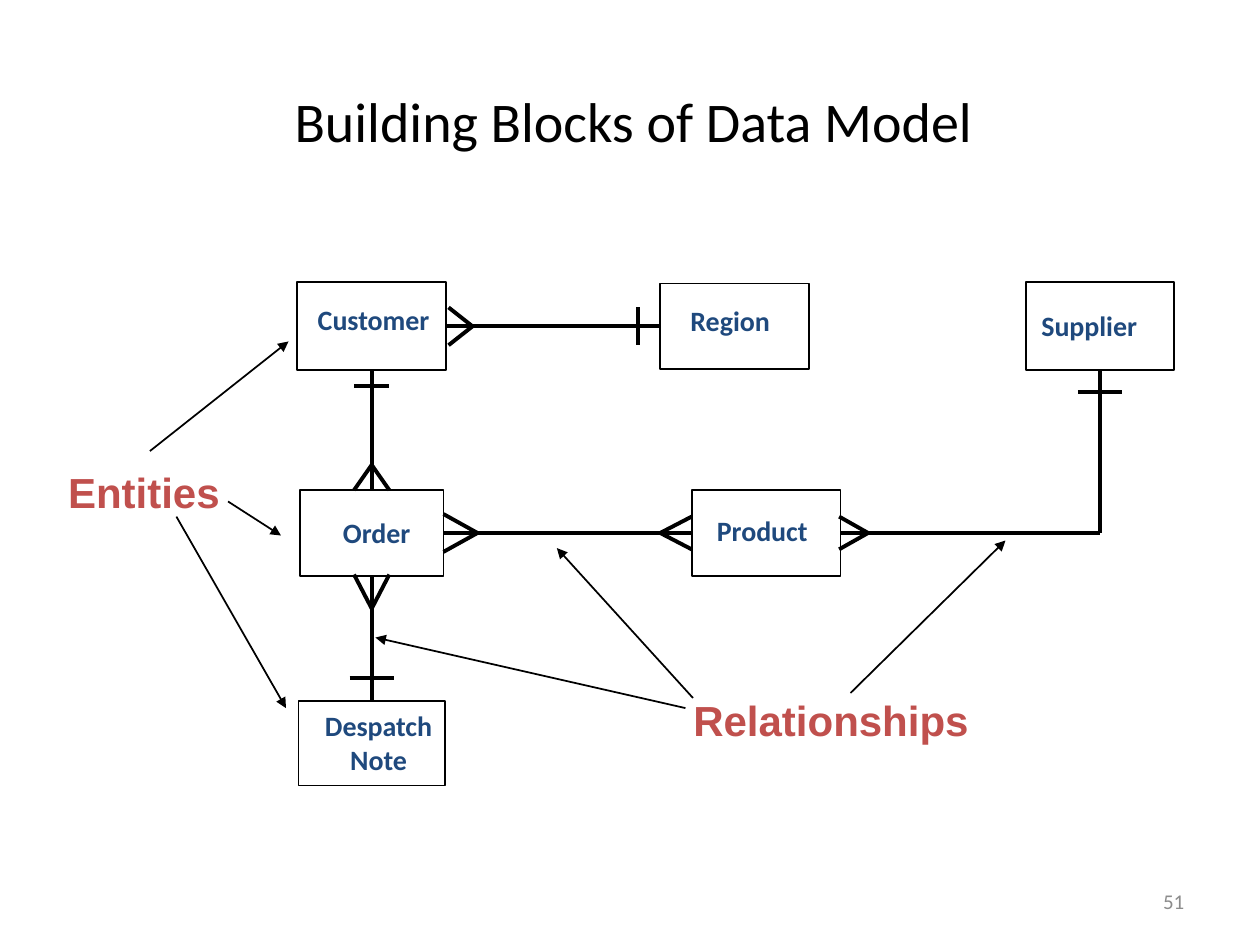
from lxml import etree
from pptx import Presentation
from pptx.dml.color import RGBColor
from pptx.enum.shapes import MSO_CONNECTOR, MSO_SHAPE
from pptx.enum.text import MSO_ANCHOR, PP_ALIGN
from pptx.oxml.ns import qn
from pptx.util import Inches, Pt

STRAIGHT = MSO_CONNECTOR.STRAIGHT
RECT = MSO_SHAPE.RECTANGLE
MIDDLE = MSO_ANCHOR.MIDDLE
LEFT, CENTER, RIGHT = PP_ALIGN.LEFT, PP_ALIGN.CENTER, PP_ALIGN.RIGHT
TOP_SIDE, LEFT_SIDE, BOTTOM_SIDE, RIGHT_SIDE = range(4)
COLS, ROWS = 100, 75


def color(hex_string):
    return RGBColor.from_string(hex_string)


class Diagram:
    """Holds the style and the slide; lengths are columns and rows of the grid."""
    ink, entity, accent, muted = "000000", "1F497D", "C0504D", "8C8C8C"
    body, display = "Calibri", "Arial"
    thin, thick = 1, 2.25

    def __init__(self, prs):
        self.slide = prs.slides.add_slide(prs.slide_layouts[6])
        self.col = prs.slide_width / COLS
        self.row = prs.slide_height / ROWS

    def grid(self, *values):
        """Turn alternating columns and rows into lengths."""
        units = (self.col, self.row)
        return [round(v * units[i % 2]) for i, v in enumerate(values)]

    def text(self, box, words, size, hex_string, font=body, bold=False, align=CENTER):
        s = self.slide.shapes.add_textbox(*self.grid(*box))
        tf = s.text_frame
        tf.word_wrap = True
        tf.vertical_anchor = MIDDLE
        tf.margin_left = tf.margin_right = tf.margin_top = tf.margin_bottom = 0
        p = tf.paragraphs[0]
        p.alignment = align
        r = p.add_run()
        r.text = words
        r.font.size, r.font.name, r.font.bold = Pt(size), font, bold
        r.font.color.rgb = color(hex_string)

    def box(self, cx, cy, w, h):
        """Add an outlined rectangle around a centre point."""
        s = self.slide.shapes.add_shape(RECT, *self.grid(cx - w / 2, cy - h / 2, w, h))
        s.shadow.inherit = False
        s.fill.background()
        s.line.color.rgb = color(self.ink)
        s.line.width = Pt(self.thin)
        return s

    def line(self, start=(0, 0), end=(0, 0), width=thick, begin_at=None, end_at=None):
        """Draw a line; begin_at and end_at are (shape, side) pairs to join."""
        s = self.slide.shapes.add_connector(STRAIGHT, *self.grid(*start, *end))
        s.line.color.rgb = color(self.ink)
        s.line.width = Pt(width)
        etree.SubElement(s._element.spPr, qn("a:effectLst"))
        if begin_at:
            s.begin_connect(*begin_at)
        if end_at:
            s.end_connect(*end_at)
        return s

    def arrow(self, start, end):
        s = self.line(start, end, self.thin)
        etree.SubElement(s.line._get_or_add_ln(), qn("a:tailEnd"), type="triangle")

    def crow_foot(self, x, y, dx, dy, spread):
        """Draw two prongs from the tip (x, y) to an edge dx or dy away."""
        for side in (-spread, spread):
            self.line((x, y), (x + (dx or side), y + (dy or side)))

    def bar(self, x, y, half_w, half_h):
        """Draw the 'exactly one' tick centred on a relationship line."""
        self.line((x - half_w, y - half_h), (x + half_w, y + half_h))


def main():
    prs = Presentation()
    prs.slide_width, prs.slide_height = Inches(10), Inches(7.5)
    d = Diagram(prs)
    d.text((5, 2.5, 90.6, 14), "Building Blocks of Data Model", 32, d.ink)

    column, supplier_x, top, middle = 29.5, 87.3, 25.9, 42.3
    # name: (rectangle centre and size, label box)
    entities = {
        "Customer": ((column, top, 11.8, 7), (24.1, 24, 11.1, 2.7)),
        "Order": ((column, middle, 11.4, 6.8), (23.4, 40.4, 13, 3.7)),
        "Despatch Note": ((column, 59, 11.6, 6.7), (24.8, 55.7, 10.5, 6.4)),
        "Region": ((58.3, top, 11.8, 6.8), (50.2, 23.6, 15.5, 3.7)),
        "Product": ((60.8, middle, 11.8, 6.8), (55.6, 40.2, 9.8, 3.7)),
        "Supplier": ((supplier_x, top, 11.8, 7), (78.7, 24, 15.5, 3.7)),
    }
    boxes = {}
    for name, (outline, label) in entities.items():
        boxes[name] = d.box(*outline)
        d.text(label, name, 16, d.entity, bold=True)

    for first, side, second, other_side in (
        ("Customer", RIGHT_SIDE, "Region", LEFT_SIDE),
        ("Customer", BOTTOM_SIDE, "Order", TOP_SIDE),
        ("Order", RIGHT_SIDE, "Product", LEFT_SIDE),
        ("Order", BOTTOM_SIDE, "Despatch Note", TOP_SIDE),
    ):
        d.line(begin_at=(boxes[first], side), end_at=(boxes[second], other_side))
    corner = (supplier_x, middle)
    for name, side in (("Product", RIGHT_SIDE), ("Supplier", BOTTOM_SIDE)):
        d.line(end=corner, begin_at=(boxes[name], side))

    for foot in (
        (37.5, top, -1.9, 0, 1.5),
        (37.9, middle, -2.7, 0, 1.5),
        (column, 36.9, 0, 2, 1.4),
        (column, 48.3, 0, -2.7, 1.4),
        (52.4, middle, 2.5, 0, 1.3),
        (68.9, middle, -2.3, 0, 1.3),
    ):
        d.crow_foot(*foot)
    for tick in (
        (50.6, top, 0, 1.5),
        (supplier_x, 31.1, 1.75, 0),
        (column, 53.8, 1.75, 0),
        (column, 30.6, 1.4, 0),
    ):
        d.bar(*tick)

    d.text((5.4, 36.5, 13.8, 5), "Entities", 24, d.accent, d.display, True, LEFT)
    d.text((52.7, 54.6, 26.5, 5), "Relationships", 24, d.accent, d.display, True)
    for start, end in (
        ((11.9, 35.8), (22.9, 27.1)),
        ((18.1, 39.8), (22.3, 42.5)),
        ((14, 41), (22.7, 56.2)),
        ((67.5, 55), (79.8, 42.9)),
        ((55, 55.4), (44.2, 43.5)),
        ((54.4, 56.2), (29.8, 50.6)),
    ):
        d.arrow(start, end)

    d.text((71.7, 69.5, 22.3, 4), "51", 12, d.muted, align=RIGHT)
    prs.save("out.pptx")


if __name__ == "__main__":
    main()
